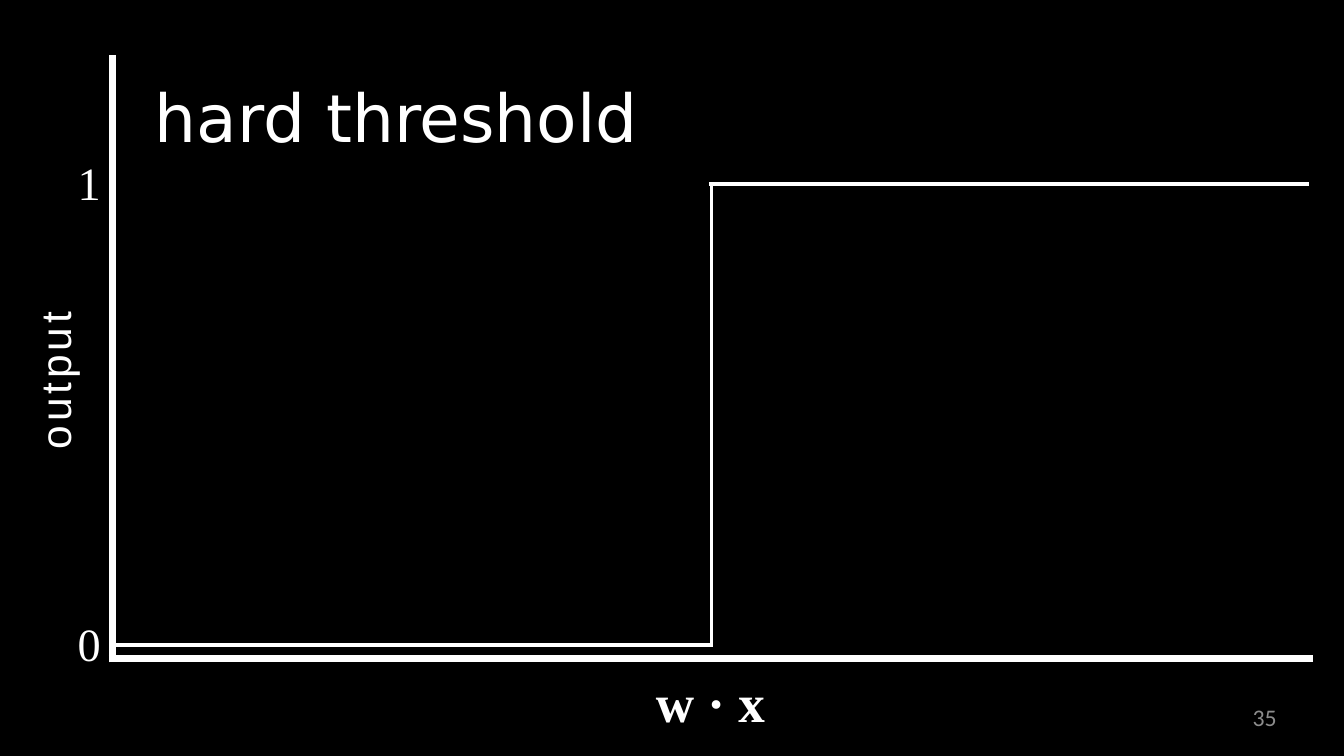
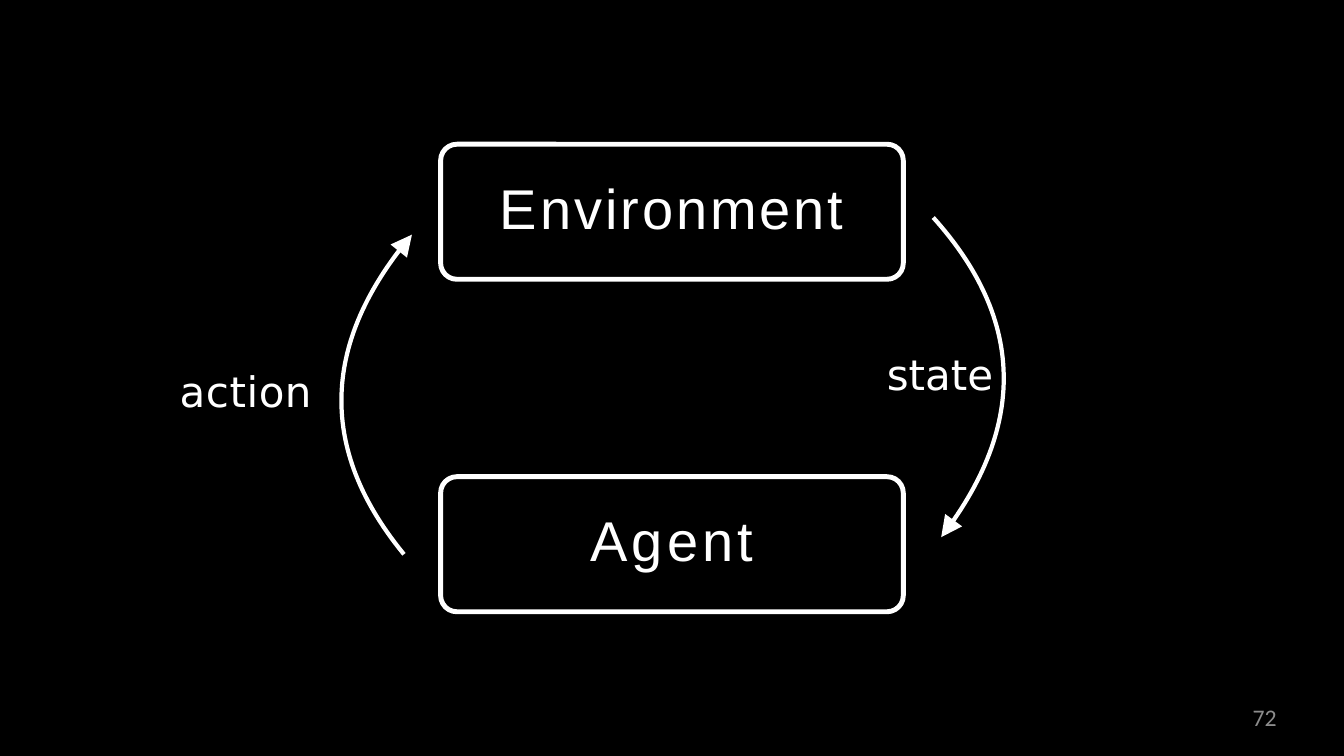
from pptx import Presentation
from pptx.dml.color import RGBColor
from pptx.enum.shapes import MSO_CONNECTOR, MSO_SHAPE
from pptx.enum.text import MSO_ANCHOR, PP_ALIGN
from pptx.oxml.ns import qn
from pptx.util import Pt
from lxml import etree

PX = 9144  # 100 px to the inch
WIDE, HIGH = 2199, 1237
INK = {name: RGBColor.from_string(code) for name, code in
       {"back": "000000", "main": "FFFFFF", "page": "8C8C8C"}.items()}
SANS, SERIF, ROUND, PLAIN = "Arial", "Times New Roman", "DejaVu Sans", "Calibri"
LEFT, MID, RIGHT = PP_ALIGN.LEFT, PP_ALIGN.CENTER, PP_ALIGN.RIGHT
CENTER = MSO_ANCHOR.MIDDLE
STRAIGHT = MSO_CONNECTOR.STRAIGHT
RECT = MSO_SHAPE.ROUNDED_RECTANGLE


def put(shape, text, font, size, gap=0, ink="main", align=LEFT):
    """Write one line of text without insets; gap is the letter spacing in points."""
    frame = shape.text_frame
    frame.word_wrap = True
    frame.margin_left = frame.margin_top = frame.margin_right = frame.margin_bottom = 0
    para = frame.paragraphs[0]
    para.text, para.alignment = text, align
    para.font.name, para.font.size = font, Pt(size)
    para.font.color.rgb = INK[ink]
    if gap:
        para.runs[0].font._element.set("spc", str(round(gap * 100)))
    return frame


def label(slide, x, y, w, h, *style, **more):
    box = slide.shapes.add_textbox(x * PX, y * PX, w * PX, h * PX)
    return put(box, *style, **more)


deck = Presentation()
deck.slide_width, deck.slide_height = WIDE * PX, HIGH * PX
fill = deck.slide_master.background.fill
fill.solid()
fill.fore_color.rgb = INK["back"]

slides = []
for page in ("35", "72"):
    slide = deck.slides.add_slide(deck.slide_layouts[6])
    label(slide, 1583, 1150, 506, 47, page, PLAIN, 28, ink="page", align=RIGHT)
    slides.append(slide)
plot, loop = slides

# Threshold plot: two axes, then the step
AXIS, STEP = 8.25, 4.12
zero, one, jump = 1055, 301, 1164
for x1, y1, x2, y2, width in (
    (184, 1084, 184, 90, AXIS),
    (178, 1078, 2149, 1078, AXIS),
    (jump, one, jump, zero, STEP),
    (185, zero, jump + 2, zero, STEP),
    (jump - 4, one, 2142, one, STEP),
):
    line = plot.shapes.add_connector(STRAIGHT, x1 * PX, y1 * PX, x2 * PX, y2 * PX)
    line.line.color.rgb = INK["main"]
    line.line.width = Pt(width)
    etree.SubElement(line._element.spPr, qn("a:effectLst"))

label(plot, 253, 125, 805, 133, "hard threshold", ROUND, 78)
for mark, y in (("0", zero), ("1", one)):
    label(plot, 127, y - 48, 41, 93, mark, SERIF, 54.5)
frame = label(plot, 1073, 1096, 190, 107, "w · x", SERIF, 62.5)
frame.paragraphs[0].font.bold = True
frame = label(plot, 53, 500, 77, 235, "output", SANS, 50, 4.5)
frame.paragraphs[0].line_spacing = Pt(55.6)
frame._txBody.bodyPr.set("vert", "vert270")

# Agent loop: two boxes joined by two bent arrows
for name, y, gap in (("Environment", 236, 3.5), ("Agent", 780, 5)):
    box = loop.shapes.add_shape(RECT, 721 * PX, y * PX, 757 * PX, 221 * PX)
    box.adjustments[0] = 0.12
    box.shadow.inherit = False
    box.fill.solid()
    box.fill.fore_color.rgb = INK["back"]
    box.line.color.rgb = INK["main"]
    box.line.width = Pt(5.77)
    frame = put(box, name, SANS, 66, gap, align=MID)
    frame.vertical_anchor = CENTER
    frame.margin_bottom = 16 * PX

PARTS = 60
for start, bend, end in (
    ((1527, 356), (1751, 605), (1540, 879)),
    ((661, 907), (450, 650), (674, 384)),
):
    dots = []
    for i in range(PARTS + 1):
        t = i / PARTS
        dots.append([round(PX * ((1 - t) ** 2 * a + 2 * t * (1 - t) * b + t * t * c))
                     for a, b, c in zip(start, bend, end)])
    pen = loop.shapes.build_freeform(*dots[0])
    pen.add_line_segments(dots[1:], close=False)
    arc = pen.convert_to_shape()
    arc.shadow.inherit = False
    arc.fill.background()
    arc.line.color.rgb = INK["main"]
    arc.line.width = Pt(4.95)
    etree.SubElement(arc.line._get_or_add_ln(), qn("a:tailEnd"),
                     type="triangle", w="lg", len="lg")

label(loop, 1451, 570, 185, 85, "state", ROUND, 49.5)
label(loop, 294, 598, 230, 85, "action", ROUND, 49.5, 0.7)

deck.save("out.pptx")
